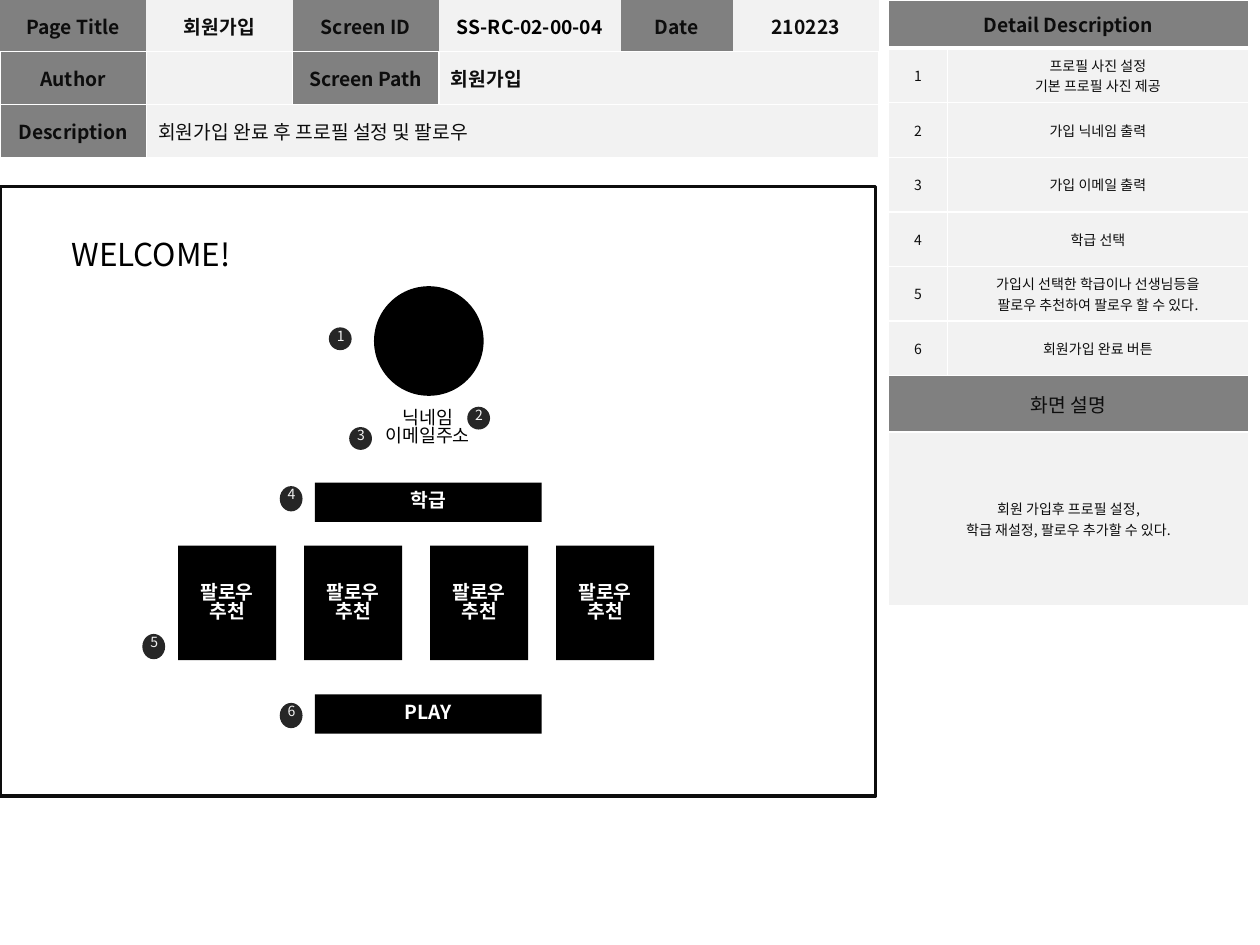
from dataclasses import dataclass
from typing import Optional

from lxml.etree import SubElement
from pptx import Presentation
from pptx.dml.color import RGBColor
from pptx.enum.shapes import MSO_SHAPE
from pptx.enum.text import MSO_ANCHOR, MSO_AUTO_SIZE, PP_ALIGN
from pptx.oxml.ns import qn
from pptx.util import Cm, Pt

FONT = "Noto Sans CJK KR"
BLACK = RGBColor(0x00, 0x00, 0x00)
INK = RGBColor(0x0D, 0x0D, 0x0D)
DARK = RGBColor(0x26, 0x26, 0x26)
GRAY = RGBColor(0x80, 0x80, 0x80)
PALE = RGBColor(0xF2, 0xF2, 0xF2)
WHITE = RGBColor(0xFF, 0xFF, 0xFF)

HEAD = {"size": Pt(11), "bold": True, "color": INK}
BOLD = {"size": Pt(11), "bold": True, "color": BLACK}
TITLE = {"size": Pt(11), "bold": False, "color": INK}
NOTE = {"size": Pt(8), "bold": False, "color": INK}
MARK = {"size": Pt(8), "bold": False, "color": PALE}
LABEL = {"size": Pt(11), "bold": True, "color": WHITE}
HELLO = {"size": Pt(18), "bold": False, "color": BLACK}
NAME = {"size": Pt(10.5), "bold": False, "color": BLACK}

MARGIN = {"margin_left": Cm(0.24), "margin_right": Cm(0.24),
          "margin_top": Cm(0.05), "margin_bottom": Cm(0.05),
          "vertical_anchor": MSO_ANCHOR.MIDDLE}
TIGHT = 0.83
SIDES = "LRTB"


@dataclass
class Entry:
    row: int
    col: int
    text: str
    style: dict
    fill: RGBColor = PALE
    span: int = 1
    align: PP_ALIGN = PP_ALIGN.CENTER
    edges: tuple = (1, 1, 1, 1)


@dataclass
class Badge:
    text: str
    left: float
    top: float
    height: float = 0.46


@dataclass
class Block:
    text: str
    left: float
    top: float
    width: float
    height: float


def write(frame, text: str, style: dict, align=PP_ALIGN.CENTER,
          spacing: Optional[float] = None) -> None:
    """Fill a text frame, one paragraph for each line of text."""
    for i, line in enumerate(text.split("\n")):
        para = frame.paragraphs[0] if i == 0 else frame.add_paragraph()
        para.alignment = align
        if spacing:
            para.line_spacing = spacing
        run = para.add_run()
        run.text = line
        for key, value in style.items():
            if key == "color":
                run.font.color.rgb = value
            else:
                setattr(run.font, key, value)
        run.font.name = FONT
        SubElement(run.font._element, qn("a:ea"), typeface=FONT)


def draw_edges(cell, widths: tuple) -> None:
    """Set the left, right, top and bottom borders; zero hides one."""
    props = cell._tc.get_or_add_tcPr()
    for side, width in zip(SIDES, widths):
        line = SubElement(props, qn(f"a:ln{side}"), w=str(Pt(width)))
        if width:
            fill = SubElement(line, qn("a:solidFill"))
            SubElement(fill, qn("a:srgbClr"), val=str(WHITE))
        else:
            SubElement(line, qn("a:noFill"))


def draw_table(slide, left: float, cols: list, rows: list, entries: list) -> None:
    frame = slide.shapes.add_table(len(rows), len(cols), Cm(left), Cm(0),
                                   Cm(sum(cols)), Cm(sum(rows)))
    table = frame.table
    table.first_row = table.horz_banding = False
    for col, width in zip(table.columns, cols):
        col.width = Cm(width)
    for row, height in zip(table.rows, rows):
        row.height = Cm(height)
    for entry in entries:
        cell = table.cell(entry.row, entry.col)
        if entry.span > 1:
            cell.merge(table.cell(entry.row, entry.col + entry.span - 1))
        for key, value in MARGIN.items():
            setattr(cell, key, value)
        draw_edges(cell, entry.edges)
        cell.fill.solid()
        cell.fill.fore_color.rgb = entry.fill
        write(cell.text_frame, entry.text, entry.style, entry.align)


def draw_shape(shapes, kind: MSO_SHAPE, box: tuple, fill: Optional[RGBColor]):
    shape = shapes.add_shape(kind, *map(Cm, box))
    shape.shadow.inherit = False
    shape.line.fill.background()
    if fill is None:
        shape.fill.background()
    else:
        shape.fill.solid()
        shape.fill.fore_color.rgb = fill
    return shape


def draw_text(shapes, box: tuple, text: str, style: dict,
              align=PP_ALIGN.LEFT, wrap: bool = True) -> None:
    frame = shapes.add_textbox(*map(Cm, box)).text_frame
    frame.word_wrap = wrap
    frame.auto_size = MSO_AUTO_SIZE.SHAPE_TO_FIT_TEXT
    write(frame, text, style, align, TIGHT)


def draw_badge(slide, badge: Badge) -> None:
    shapes = slide.shapes.add_group_shape().shapes
    draw_shape(shapes, MSO_SHAPE.OVAL,
               (badge.left, badge.top, 0.46, badge.height), DARK)
    draw_text(shapes, (badge.left - 0.09, badge.top - 0.07, 0.66, 0.61),
              badge.text, MARK, wrap=False)


def draw_block(slide, block: Block) -> None:
    box = (block.left, block.top, block.width, block.height)
    frame = draw_shape(slide.shapes, MSO_SHAPE.RECTANGLE, box, BLACK).text_frame
    frame.vertical_anchor = MSO_ANCHOR.MIDDLE
    frame.word_wrap = True
    write(frame, block.text, LABEL, spacing=TIGHT)


TOP = ["Page Title", "회원가입", "Screen ID", "SS-RC-02-00-04", "Date", "210223"]
INFO = [Entry(0, i, text, BOLD if i == 3 else HEAD, PALE if i % 2 else GRAY,
              edges=(0, 0, 0, 1)) for i, text in enumerate(TOP)]
INFO += [
    Entry(1, 0, "Author", HEAD, GRAY),
    Entry(1, 1, "", HEAD),
    Entry(1, 2, "Screen Path", HEAD, GRAY),
    Entry(1, 3, "회원가입", HEAD, span=3, align=PP_ALIGN.LEFT),
    Entry(2, 0, "Description", HEAD, GRAY),
    Entry(2, 1, "회원가입 완료 후 프로필 설정 및 팔로우", TITLE, span=5,
          align=PP_ALIGN.LEFT),
]

STEPS = ["프로필 사진 설정\n기본 프로필 사진 제공", "가입 닉네임 출력",
         "가입 이메일 출력", "학급 선택",
         "가입시 선택한 학급이나 선생님등을\n팔로우 추천하여 팔로우 할 수 있다.",
         "회원가입 완료 버튼"]
DETAIL = [Entry(0, 0, "Detail Description", HEAD, GRAY, 2, edges=(1, 1, 1, 3))]
for num, step in enumerate(STEPS, 1):
    DETAIL += [Entry(num, 0, str(num), NOTE, edges=(1, 1, 3 if num == 1 else 1, 1)),
               Entry(num, 1, step, NOTE, edges=(1, 1, 3 if num == 1 else 1, 1))]
DETAIL += [
    Entry(7, 0, "화면 설명", TITLE, GRAY, 2),
    Entry(8, 0, "회원 가입후 프로필 설정,\n학급 재설정, 팔로우 추가할 수 있다.",
          NOTE, span=2),
]

BADGES = [Badge("4", 5.64, 9.8, 0.51), Badge("6", 5.64, 14.17, 0.51),
          Badge("1", 6.63, 6.6), Badge("2", 9.42, 8.2),
          Badge("5", 2.87, 12.78, 0.51), Badge("3", 7.04, 8.61)]
BLOCKS = [Block("학급", 6.35, 9.73, 4.57, 0.79)]
BLOCKS += [Block("팔로우\n추천", 3.59 + 2.54 * i, 11, 1.98, 2.31)
           for i in range(4)]
BLOCKS += [Block("PLAY", 6.35, 14, 4.57, 0.79)]


def main() -> None:
    deck = Presentation()
    deck.slide_width, deck.slide_height = Cm(25.4), Cm(19.05)
    slide = deck.slides.add_slide(deck.slide_layouts[6])
    shapes = slide.shapes
    draw_table(slide, 0, [2.95, 2.95, 2.95, 3.66, 2.26, 2.95],
               [1.04, 1.07, 1.07], INFO)
    screen = draw_shape(shapes, MSO_SHAPE.RECTANGLE, (0, 3.76, 17.65, 12.29), None)
    screen.line.color.rgb = INK
    screen.line.width = Pt(2)
    draw_table(slide, 17.91, [1.19, 6.07], [0.97] + [1.1] * 6 + [1.14, 3.5], DETAIL)
    for badge in BADGES:
        draw_badge(slide, badge)
    draw_text(shapes, (1.19, 4.75, 3.76, 1.02), "WELCOME!", HELLO)
    draw_shape(shapes, MSO_SHAPE.OVAL, (7.54, 5.77, 2.21, 2.21), BLACK)
    draw_text(shapes, (7.14, 8.13, 2.97, 1.19), "닉네임\n이메일주소", NAME,
              PP_ALIGN.CENTER)
    for block in BLOCKS:
        draw_block(slide, block)
    deck.save("out.pptx")


if __name__ == "__main__":
    main()
